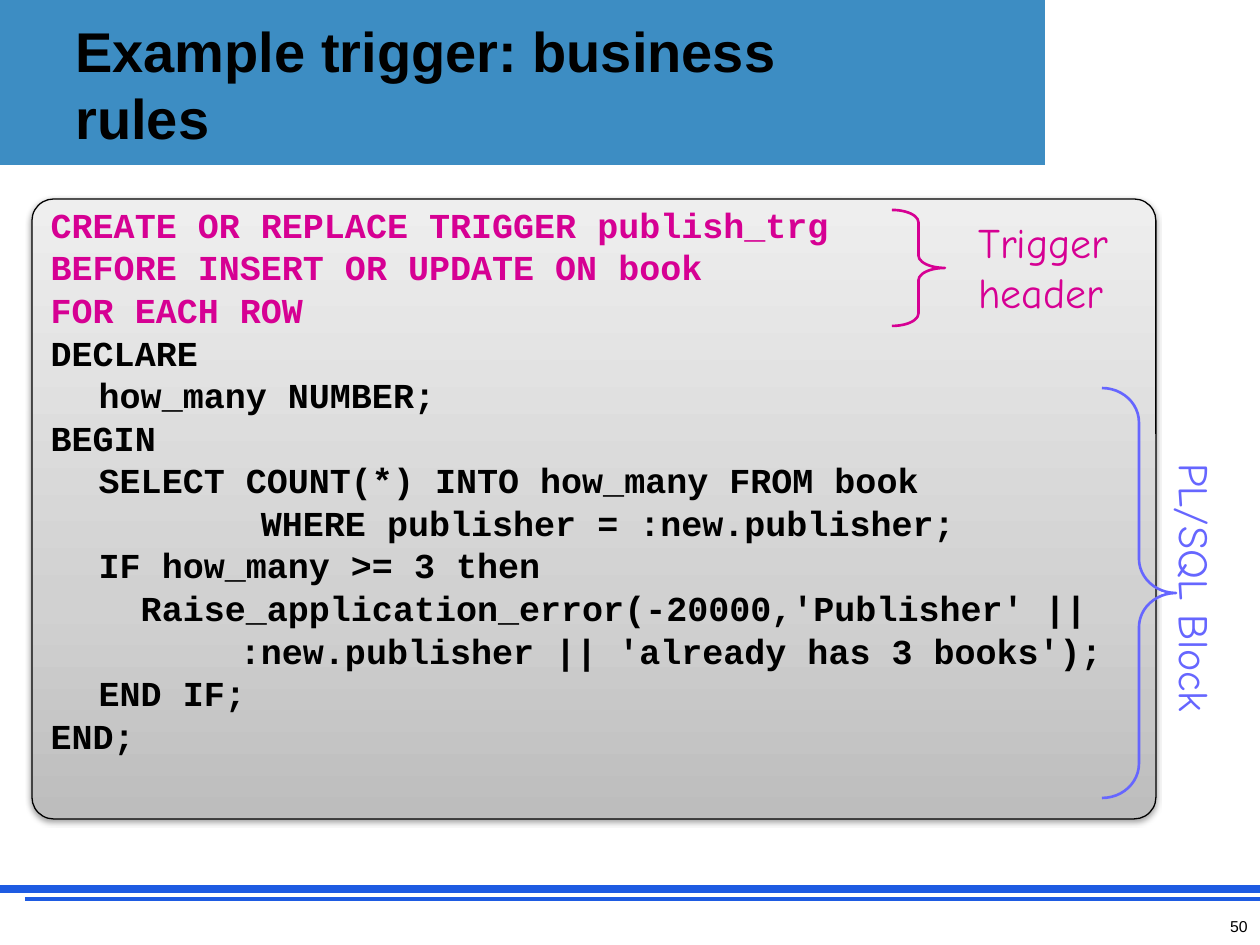
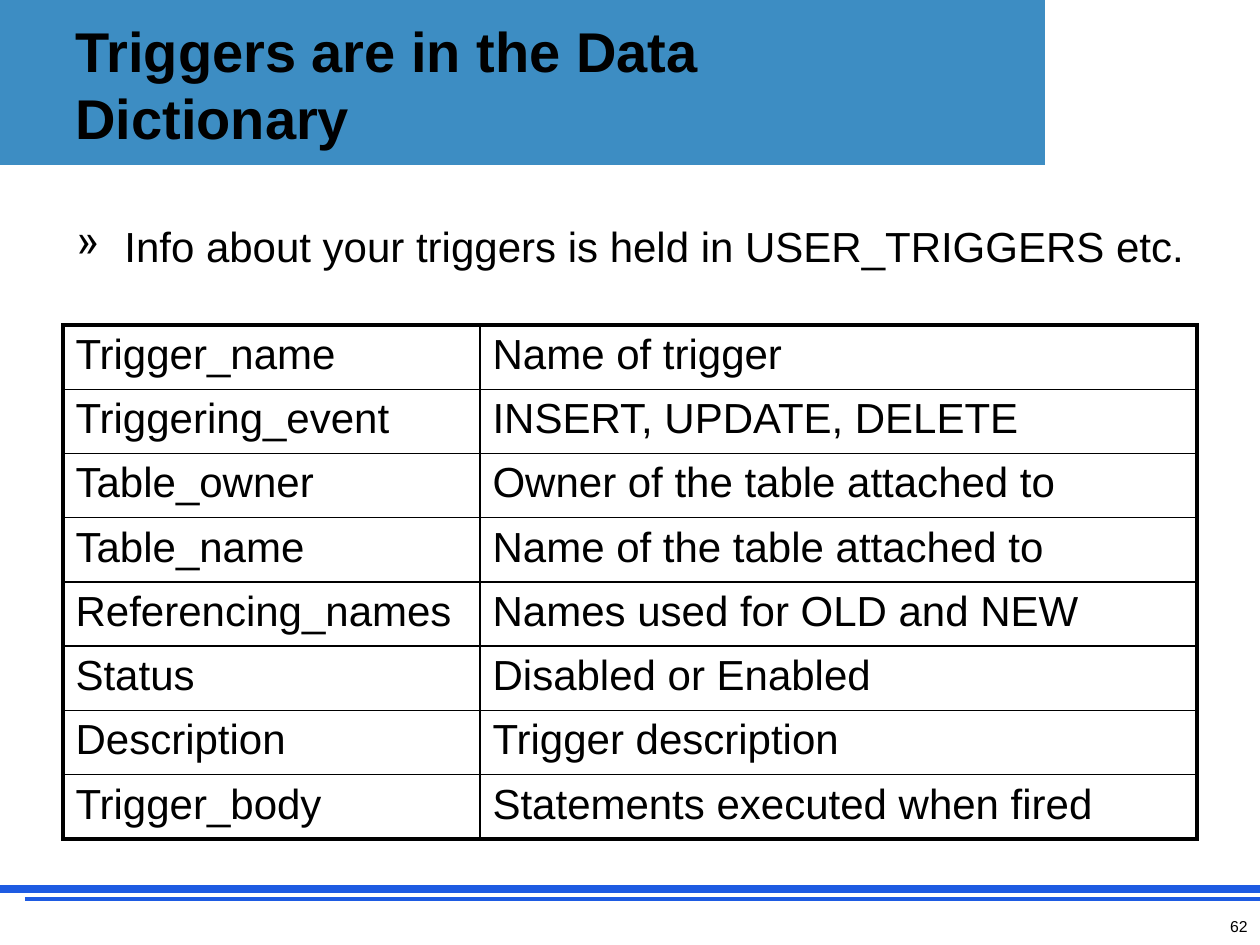
from typing import NamedTuple

from lxml.etree import SubElement
from pptx import Presentation
from pptx.dml.color import RGBColor
from pptx.enum.shapes import MSO_CONNECTOR as Link, MSO_SHAPE as Preset
from pptx.enum.text import MSO_ANCHOR as Anchor, PP_ALIGN as Align
from pptx.oxml.ns import qn
from pptx.util import Emu, Pt

PX_PER_INCH = 126
BLACK, WHITE = "000000", "FFFFFF"
BAND_BLUE, RULE_BLUE = "3D8DC3", "1E5BE2"
MAGENTA, VIOLET = "D60093", "6666FF"
SANS, HAND, MONO = "Arial", "Comic Neue", "Courier New"
HANG = 48

TRIGGER_HEADER = """CREATE OR REPLACE TRIGGER publish_trg
BEFORE INSERT OR UPDATE ON book
FOR EACH ROW"""
TRIGGER_BLOCK = """DECLARE
\thow_many NUMBER;
BEGIN
\tSELECT COUNT(*) INTO how_many FROM book
          WHERE publisher = :new.publisher;
\tIF how_many >= 3 then
\t  Raise_application_error(-20000,'Publisher' ||
         :new.publisher || 'already has 3 books');
\tEND IF;
END;"""
DICTIONARY = [
    ("Trigger_name", "Name of trigger"),
    ("Triggering_event", "INSERT, UPDATE, DELETE"),
    ("Table_owner", "Owner of the table attached to"),
    ("Table_name", "Name of the table attached to"),
    ("Referencing_names", "Names used for OLD and NEW"),
    ("Status", "Disabled or Enabled"),
    ("Description", "Trigger description"),
    ("Trigger_body", "Statements executed when fired"),
]


class Box(NamedTuple):
    left: int
    top: int
    width: int
    height: int


class Rule(NamedTuple):
    left: int
    y: int
    weight: float


class Brace(NamedTuple):
    box: Box
    curl: float
    color: str
    label: str
    label_box: Box
    turn: int


FOOTER_RULES = [Rule(0, 889, 4.5), Rule(25, 899, 2.25)]
BRACES = [
    Brace(Box(892, 210, 53, 116), 0.233, MAGENTA, "Trigger\nheader", Box(966, 210, 186, 113), 0),
    Brace(Box(1102, 388, 74, 410), 0.464, VIOLET, "PL/SQL Block", Box(1047, 568, 297, 63), 90),
]


def px(length: int) -> Emu:
    return Emu(round(length * 914400 / PX_PER_INCH))


def emu(box: Box) -> list[Emu]:
    return [px(length) for length in box]


def rgb(color: str) -> RGBColor:
    return RGBColor.from_string(color)


def write(frame, text: str, *, size: float, color: str = BLACK, face: str = SANS,
          bold: bool = False, align=Align.LEFT, spacing: float = 1.0,
          before: float = 0, hang: int = 0, bullet: str = "") -> None:
    for line in text.split("\n"):
        first = not frame.text
        paragraph = frame.paragraphs[0] if first else frame.add_paragraph()
        properties = paragraph._p.get_or_add_pPr()
        if hang:
            properties.set("marL", str(px(hang)))
            properties.set("indent", str(-px(hang)))
        if bullet:
            SubElement(properties, qn("a:buChar"), char=bullet)
        paragraph.alignment = align
        paragraph.line_spacing = spacing
        if before and not first:
            paragraph.space_before = Pt(before)
        run = paragraph.add_run()
        run.text = line
        run.font.name, run.font.size, run.font.bold = face, Pt(size), bold
        run.font.color.rgb = rgb(color)


def add_text(slide, box: Box, text: str, *, anchor=Anchor.TOP, turn: int = 0, **style) -> None:
    holder = slide.shapes.add_textbox(*emu(box))
    holder.rotation = turn
    holder.text_frame.word_wrap = True
    holder.text_frame.vertical_anchor = anchor
    write(holder.text_frame, text, **style)


def add_block(slide, preset, box: Box, fill: str = "", line: str = "", weight: float = 1):
    block = slide.shapes.add_shape(preset, *emu(box))
    block.shadow.inherit = False
    if fill:
        block.fill.solid()
        block.fill.fore_color.rgb = rgb(fill)
    else:
        block.fill.background()
    if line:
        block.line.color.rgb = rgb(line)
        block.line.width = Pt(weight)
    else:
        block.line.fill.background()
    return block


def add_rule(slide, rule: Rule) -> None:
    stroke = slide.shapes.add_connector(
        Link.STRAIGHT, px(rule.left), px(rule.y), px(1260), px(rule.y))
    stroke.line.color.rgb = rgb(RULE_BLUE)
    stroke.line.width = Pt(rule.weight)
    SubElement(stroke._element.spPr, qn("a:effectLst"))


def add_page(deck, title: str, number: int):
    slide = deck.slides.add_slide(deck.slide_layouts[6])
    add_block(slide, Preset.RECTANGLE, Box(0, 0, 1260, 165), BAND_BLUE)
    for rule in FOOTER_RULES:
        add_rule(slide, rule)
    add_block(slide, Preset.RECTANGLE, Box(1047, 0, 213, 175), WHITE, WHITE, 2)
    add_text(slide, Box(63, 16, 864, 136), title, anchor=Anchor.MIDDLE, size=32, bold=True)
    add_text(slide, Box(966, 911, 294, 34), str(number), size=9, align=Align.RIGHT)
    return slide


def shade(panel) -> None:
    panel.fill.gradient()
    panel.fill.gradient_angle = 90
    properties = panel._element.spPr
    stops = properties.find(".//" + qn("a:gsLst"))
    stops.clear()
    for percent, color in [(0, "BDBDBD"), (35, "D1D1D1"), (100, "EEEEEE")]:
        stop = SubElement(stops, qn("a:gs"), pos=str(percent * 1000))
        SubElement(stop, qn("a:srgbClr"), val=color)
    shadow = SubElement(properties.find(qn("a:effectLst")), qn("a:outerShdw"),
                        blurRad=str(Pt(3.1)), dist=str(Pt(1.6)), dir="5400000", rotWithShape="0")
    tint = SubElement(shadow, qn("a:srgbClr"), val=BLACK)
    SubElement(tint, qn("a:alpha"), val="38000")


def add_brace(slide, brace: Brace) -> None:
    bracket = add_block(slide, Preset.RIGHT_BRACE, brace.box, line=brace.color, weight=1.5)
    bracket.adjustments[0] = brace.curl
    bracket.adjustments[1] = 0.5
    add_text(slide, brace.label_box, brace.label, turn=brace.turn,
             size=24, color=brace.color, face=HAND)


def set_borders(cell, outer: dict[str, bool]) -> None:
    properties = cell._tc.get_or_add_tcPr()
    for place, (side, is_outer) in enumerate(outer.items()):
        edge = SubElement(properties, qn(f"a:ln{side}"), w=str(Pt(2.25 if is_outer else 1)))
        SubElement(SubElement(edge, qn("a:solidFill")), qn("a:srgbClr"), val=BLACK)
        properties.insert(place, edge)


def add_dictionary(slide, box: Box, columns: list[int]) -> None:
    last_row, last_column = len(DICTIONARY) - 1, len(columns) - 1
    grid = slide.shapes.add_table(len(DICTIONARY), len(columns), *emu(box)).table
    grid.first_row = grid.horz_banding = False
    for column, width in zip(grid.columns, columns):
        column.width = px(width)
    for r, entry in enumerate(DICTIONARY):
        for c, text in enumerate(entry):
            cell = grid.cell(r, c)
            cell.fill.background()
            set_borders(cell, {"L": c == 0, "R": c == last_column,
                               "T": r == 0, "B": r == last_row})
            write(cell.text_frame, text, size=24)


def build_business_rules(deck) -> None:
    slide = add_page(deck, "Example trigger: business rules", 50)
    panel = add_block(slide, Preset.ROUNDED_RECTANGLE, Box(32, 199, 1124, 620),
                      line=BLACK, weight=0.75)
    panel.adjustments[0] = 0.035
    shade(panel)
    code = panel.text_frame
    code.word_wrap = True
    code.vertical_anchor = Anchor.TOP
    for text, color in [(TRIGGER_HEADER, MAGENTA), (TRIGGER_BLOCK, BLACK)]:
        write(code, text, size=20, color=color, face=MONO, bold=True,
              spacing=0.8, before=5.1, hang=HANG)
    for brace in BRACES:
        add_brace(slide, brace)


def build_data_dictionary(deck) -> None:
    slide = add_page(deck, "Triggers are in the Data Dictionary", 62)
    add_dictionary(slide, Box(63, 325, 1134, 514), [417, 717])
    add_text(slide, Box(64, 224, 1144, 42),
             "Info about your triggers is held in USER_TRIGGERS etc.",
             size=24, spacing=0.8, hang=HANG, bullet="»")


def main() -> None:
    deck = Presentation()
    deck.slide_width, deck.slide_height = px(1260), px(945)
    build_business_rules(deck)
    build_data_dictionary(deck)
    deck.save("out.pptx")


if __name__ == "__main__":
    main()
